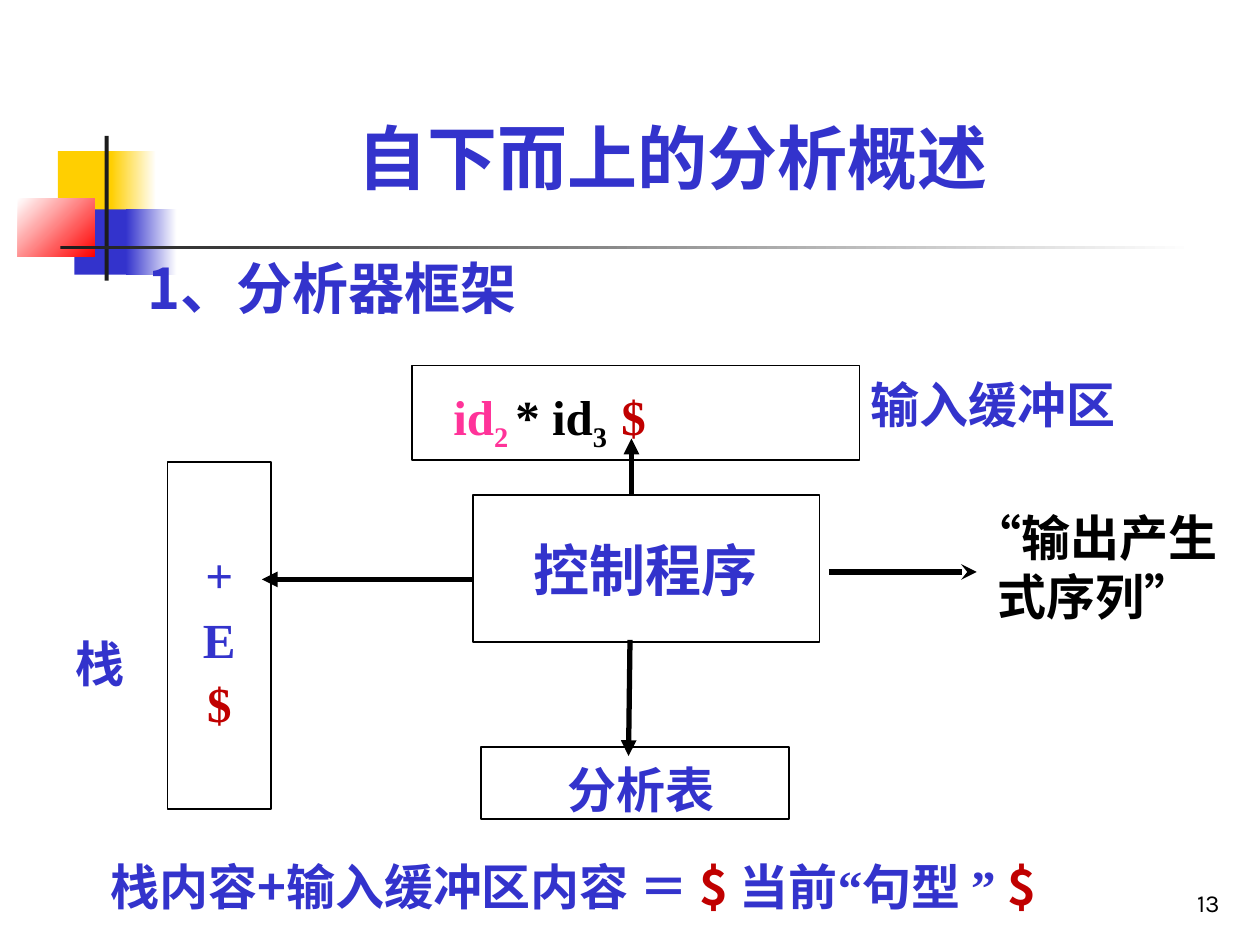
from pptx import Presentation
from pptx.dml.color import RGBColor
from pptx.enum.shapes import MSO_CONNECTOR, MSO_SHAPE
from pptx.enum.text import MSO_ANCHOR, MSO_AUTO_SIZE, PP_ALIGN
from pptx.oxml.ns import qn
from pptx.util import Cm, Pt
from lxml import etree

RECT = MSO_SHAPE.RECTANGLE
STRAIGHT = MSO_CONNECTOR.STRAIGHT
LEFT, CENTER, RIGHT = PP_ALIGN.LEFT, PP_ALIGN.CENTER, PP_ALIGN.RIGHT
TOP, MIDDLE, BOTTOM = MSO_ANCHOR.TOP, MSO_ANCHOR.MIDDLE, MSO_ANCHOR.BOTTOM


class Theme:
    blue, red, pink = "3333CC", "C00000", "FF3399"
    black, dark, white = "000000", "1C1C1C", "FFFFFF"
    yellow, bright_red = "FFCF01", "FF0000"
    title, heading, body, number = 40, 32, 28, 14
    jp, sc = "Noto Sans CJK JP", "Noto Sans CJK SC"
    serif, sans = "Times New Roman", "Karla"


def write(sp, paragraphs, size=Theme.body, align=CENTER, anchor=MIDDLE, wrap=True):
    """Fill sp with paragraphs, each a list of (text, colour, font[, baseline])."""
    tf = sp.text_frame
    tf.word_wrap = wrap
    tf.auto_size = MSO_AUTO_SIZE.NONE
    tf.vertical_anchor = anchor
    for i, runs in enumerate(paragraphs):
        p = tf.add_paragraph() if i else tf.paragraphs[0]
        p.alignment = align
        for text, color, font, *baseline in runs:
            r = p.add_run()
            r.text = text
            r.font.size = Pt(size)
            r.font.bold = size != Theme.number
            r.font.name = font
            r.font.color.rgb = RGBColor.from_string(color)
            rPr = r.font._element
            etree.SubElement(rPr, qn("a:ea")).set("typeface", font)
            if baseline:
                rPr.set("baseline", str(baseline[0] * 1000))


def add_box(x, y, w, h):
    """Add an unfilled rectangle with a thin black outline."""
    sp = s.shapes.add_shape(RECT, Cm(x), Cm(y), Cm(w), Cm(h))
    sp.shadow.inherit = False
    sp.fill.background()
    sp.line.color.rgb = RGBColor.from_string(Theme.black)
    sp.line.width = Pt(1)
    return sp


prs = Presentation()
prs.slide_width, prs.slide_height = Cm(25.4), Cm(19.05)
s = prs.slides.add_slide(prs.slide_layouts[5])

# Decoration: one colour is solid, two make a gradient
for x, y, w, h, colors, angle in [
    (1.17, 3.05, 1.22, 1.32, [Theme.yellow], 0),
    (2.24, 3.05, 0.91, 1.32, [Theme.yellow, Theme.white], 0),
    (1.5, 4.22, 1.17, 1.32, [Theme.blue], 0),
    (2.54, 4.22, 1.02, 1.32, [Theme.blue, Theme.white], 0),
    (0.36, 4.01, 1.55, 1.17, [Theme.white, Theme.bright_red], 315),
    (2.11, 2.74, 0.08, 2.92, [Theme.dark], 0),
    (1.22, 4.95, 22.86, 0.08, [Theme.dark, Theme.white], 0),
]:
    sp = add_box(x, y, w, h)
    sp.line.fill.background()
    if len(colors) == 1:
        sp.fill.solid()
        sp.fill.fore_color.rgb = RGBColor.from_string(colors[0])
    else:
        sp.fill.gradient()
        sp.fill.gradient_angle = angle
        for stop, color in zip(sp.fill.gradient_stops, colors):
            stop.color.rgb = RGBColor.from_string(color)

# Title
title = s.shapes.title
title.left, title.top, title.width, title.height = Cm(4.27), Cm(1.68), Cm(18.57), Cm(2.44)
write(title, [[("自下而上的分析概述", Theme.blue, Theme.jp)]], Theme.title, anchor=BOTTOM)

# Parser components
buffer = add_box(8.31, 7.37, 9.02, 1.91)
buffer.text_frame.margin_left = Cm(0.83)
buffer.text_frame.margin_top = Cm(0.4)
write(buffer, [[
    ("id", Theme.pink, Theme.serif),
    ("2 ", Theme.pink, Theme.serif, -25),
    ("* id", Theme.black, Theme.serif),
    ("3  ", Theme.black, Theme.serif, -25),
    ("$", Theme.red, Theme.serif),
]], align=LEFT)

stack = add_box(3.38, 9.32, 2.08, 6.99)
write(stack, [
    [("+", Theme.blue, Theme.serif)],
    [("E", Theme.blue, Theme.serif)],
    [("$", Theme.red, Theme.serif)],
], wrap=False)
for p in stack.text_frame.paragraphs:
    p.line_spacing = 1.1

control = add_box(9.53, 9.98, 6.99, 2.97)
write(control, [[("控制程序", Theme.blue, Theme.jp)]], Theme.heading, wrap=False)

table = add_box(9.7, 15.06, 6.2, 1.45)
table.text_frame.margin_left = Cm(0.5)
table.text_frame.margin_top = Cm(0.38)
write(table, [[("分析表", Theme.blue, Theme.jp)]])

# Arrows from the control program
for x1, y1, x2, y2, head in [
    (12.73, 9.96, 12.73, 8.84, "triangle"),
    (16.71, 11.53, 19.69, 11.53, "stealth"),
    (12.7, 12.9, 12.67, 15.24, "triangle"),
    (9.53, 11.68, 5.28, 11.68, "triangle"),
]:
    arrow = s.shapes.add_connector(STRAIGHT, Cm(x1), Cm(y1), Cm(x2), Cm(y2))
    arrow.line.color.rgb = RGBColor.from_string(Theme.black)
    arrow.line.width = Pt(3)
    etree.SubElement(arrow.line._get_or_add_ln(), qn("a:tailEnd")).set("type", head)
    etree.SubElement(arrow._element.spPr, qn("a:effectLst"))

# Heading, labels, summary and slide number
summary = [
    ("栈内容+输入缓冲区内容 ＝ ", Theme.blue, Theme.sc),
    ("$ ", Theme.red, Theme.sc),
    ("当前", Theme.blue, Theme.sc),
    ("“", Theme.blue, Theme.serif),
    ("句型 ", Theme.blue, Theme.sc),
    ("” ", Theme.blue, Theme.serif),
    ("$", Theme.red, Theme.sc),
]
for x, y, w, h, runs, size, align, anchor, wrap in [
    (1.27, 4.83, 10.85, 1.91, [("1、分析器框架", Theme.blue, Theme.jp)],
     Theme.heading, CENTER, MIDDLE, True),
    (19.3, 10.11, 5.56, 2.64, [("“输出产生式序列”", Theme.black, Theme.jp)],
     Theme.body, CENTER, TOP, True),
    (1.27, 12.65, 1.5, 1.45, [("栈", Theme.blue, Theme.jp)],
     Theme.body, LEFT, TOP, False),
    (17.3, 7.09, 5.77, 1.78, [("输入缓冲区", Theme.blue, Theme.jp)],
     Theme.body, LEFT, BOTTOM, False),
    (1.98, 17.15, 21.95, 1.45, summary, Theme.body, LEFT, TOP, True),
    (19.56, 17.35, 5.28, 1.27, [("13", Theme.black, Theme.sans)],
     Theme.number, RIGHT, BOTTOM, True),
]:
    label = s.shapes.add_textbox(Cm(x), Cm(y), Cm(w), Cm(h))
    write(label, [runs], size, align, anchor, wrap)

prs.save("out.pptx")
